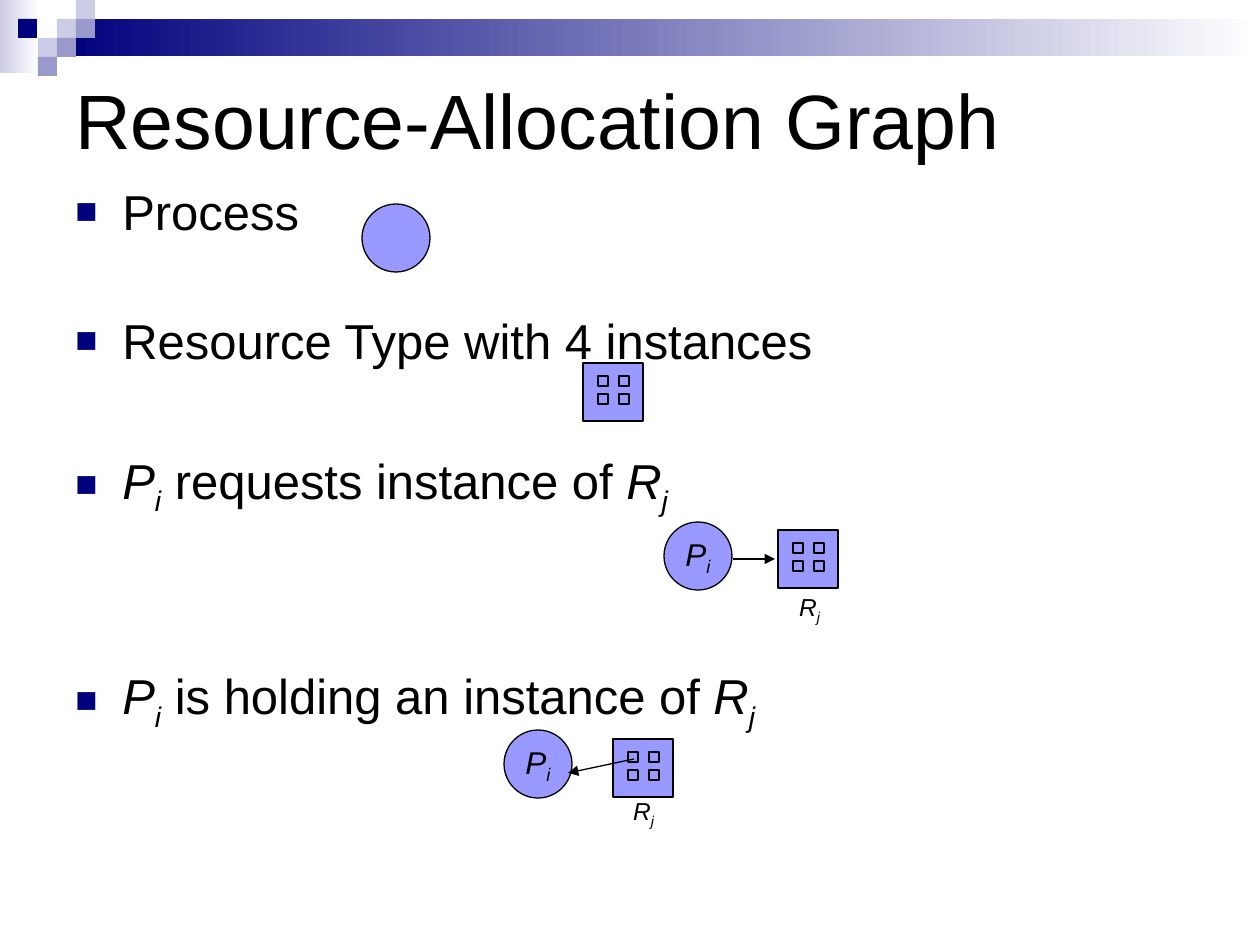
import pptx
import pptx.util
import pptx.dml.color
import pptx.enum.shapes
import pptx.enum.text
import pptx.oxml
import pptx.oxml.ns

PX = 914400 // 126
COLORS = {"navy": "00007D", "pale": "CCCCE6", "mid": "9999CC",
          "node": "9999FF", "black": "000000", "white": "FFFFFF"}
SHAPE = pptx.enum.shapes.MSO_SHAPE
ALIGN = pptx.enum.text.PP_ALIGN
MIDDLE = pptx.enum.text.MSO_ANCHOR.MIDDLE
P_I = [("P", "i"), ("i", "is")]
R_J = [("R", "i"), ("j", "is")]


def rgb(name):
    return pptx.dml.color.RGBColor.from_string(COLORS[name])


def emu(*values):
    return [round(v * PX) for v in values]


def xml(parent, tag, **attrs):
    el = pptx.oxml.parse_xml(f"<a:{tag} {pptx.oxml.ns.nsdecls('a')}/>")
    for key, value in attrs.items():
        el.set(key, value)
    parent.append(el)
    return el


def add_box(shapes, kind, box, fill, line=None):
    sp = shapes.add_shape(kind, *emu(*box))
    sp.shadow.inherit = False
    if isinstance(fill, tuple):
        sp.fill.gradient()
        sp.fill.gradient_angle = 0
        for stop, name in zip(sp.fill.gradient_stops, fill):
            stop.color.rgb = rgb(name)
    else:
        sp.fill.solid()
        sp.fill.fore_color.rgb = rgb(fill)
    if line:
        sp.line.color.rgb = rgb(line)
        sp.line.width = pptx.util.Pt(0.75)
    else:
        sp.line.fill.background()
    return sp


def add_runs(p, runs, size):
    """Style letters: i is italic, s is subscript."""
    for text, style in runs:
        r = p.add_run()
        r.text = text
        formats = {"name": "Arial", "size": pptx.util.Pt(size), "italic": "i" in style}
        for key, value in formats.items():
            setattr(r.font, key, value)
        r.font.color.rgb = rgb("black")
        if "s" in style:
            r._r.get_or_add_rPr().set("baseline", "-25000")


def set_frame(tf, **formats):
    for key, value in formats.items():
        setattr(tf, key, value)


def add_banner(shapes, x, y):
    add_box(shapes, SHAPE.RECTANGLE, (x, y, 39, 73), ("pale", "white"))
    add_box(shapes, SHAPE.RECTANGLE, (x + 57, y + 19, 1203, 37), ("navy", "white"))
    tiles = [(57, 19, "pale"), (76, 0, "pale"), (76, 19, "mid"), (38, 38, "pale"),
             (18, 19, "navy"), (57, 38, "mid"), (38, 57, "mid")]
    for dx, dy, fill in tiles:
        add_box(shapes, SHAPE.RECTANGLE, (x + dx, y + dy, 19, 19), fill)


def add_title(shapes, box, text):
    tf = shapes.add_textbox(*emu(*box)).text_frame
    set_frame(tf, word_wrap=True, vertical_anchor=MIDDLE)
    add_runs(tf.paragraphs[0], [(text, "")], 44)


def add_bullets(shapes, box, items):
    tf = shapes.add_textbox(*emu(*box)).text_frame
    tf.word_wrap = True
    for n, (before, runs) in enumerate(items):
        p = tf.add_paragraph() if n else tf.paragraphs[0]
        p.space_before = pptx.util.Pt(before)
        pPr = p._p.get_or_add_pPr()
        pPr.set("marL", str(47 * PX))
        pPr.set("indent", str(-47 * PX))
        xml(xml(pPr, "buClr"), "srgbClr", val=COLORS["navy"])
        xml(pPr, "buSzPct", val="75000")
        xml(pPr, "buFont", typeface="Arial")
        xml(pPr, "buChar", char="■")
        add_runs(p, runs, 28)


def add_process(shapes, x, y, label=()):
    sp = add_box(shapes, SHAPE.OVAL, (x, y, 68, 68), "node", "black")
    if label:
        set_frame(sp.text_frame, word_wrap=False, vertical_anchor=MIDDLE)
        p = sp.text_frame.paragraphs[0]
        p.alignment = ALIGN.CENTER
        add_runs(p, label, 18)


def add_resource(shapes, x, y):
    group = shapes.add_group_shape().shapes
    add_box(group, SHAPE.RECTANGLE, (x, y, 60, 58), "node", "black")
    for dy in (13, 31):
        for dx in (15, 36):
            add_box(group, SHAPE.RECTANGLE, (x + dx, y + dy, 10, 10), "node", "black")


def add_label(shapes, x, y, runs):
    tf = shapes.add_textbox(*emu(x, y, 47, 42)).text_frame
    set_frame(tf, word_wrap=False, vertical_anchor=MIDDLE)
    p = tf.paragraphs[0]
    p.alignment = ALIGN.CENTER
    add_runs(p, runs, 14)


def add_arrow(shapes, start, end):
    kind = pptx.enum.shapes.MSO_CONNECTOR.STRAIGHT
    sp = shapes.add_connector(kind, *emu(*start, *end))
    sp.line.color.rgb = rgb("black")
    sp.line.width = pptx.util.Pt(0.75)
    xml(sp.line._get_or_add_ln(), "tailEnd", type="triangle")
    xml(sp._element.spPr, "effectLst")


def add_edge(shapes, x, y, resource, label, start, end):
    """A process at x, y with a resource and an arrow offset from it."""
    add_process(shapes, x, y, P_I)
    add_resource(shapes, x + resource[0], y + resource[1])
    add_label(shapes, x + label[0], y + label[1], R_J)
    add_arrow(shapes, (x + start[0], y + start[1]), (x + end[0], y + end[1]))


prs = pptx.Presentation()
prs.slide_width, prs.slide_height = emu(1260, 945)
shapes = prs.slides.add_slide(prs.slide_layouts[6]).shapes

# Banner and text
add_banner(shapes, 0, 0)
add_title(shapes, (63, 63, 1134, 112), "Resource-Allocation Graph")
add_bullets(shapes, (63, 175, 1134, 536), [
    (3, [("Process", "")]),
    (40.5, [("Resource Type with 4 instances", "")]),
    (46, P_I + [(" requests instance of ", "")] + R_J),
    (85, P_I + [(" is holding an instance of ", "")] + R_J),
])

# Graph symbols
add_process(shapes, 362, 204)
add_resource(shapes, 583, 363)
add_edge(shapes, 664, 522, (114, 8), (122, 66), (69, 37), (111, 37))
add_edge(shapes, 504, 730, (109, 9), (116, 62), (130, 29), (64, 43))

prs.save("out.pptx")
